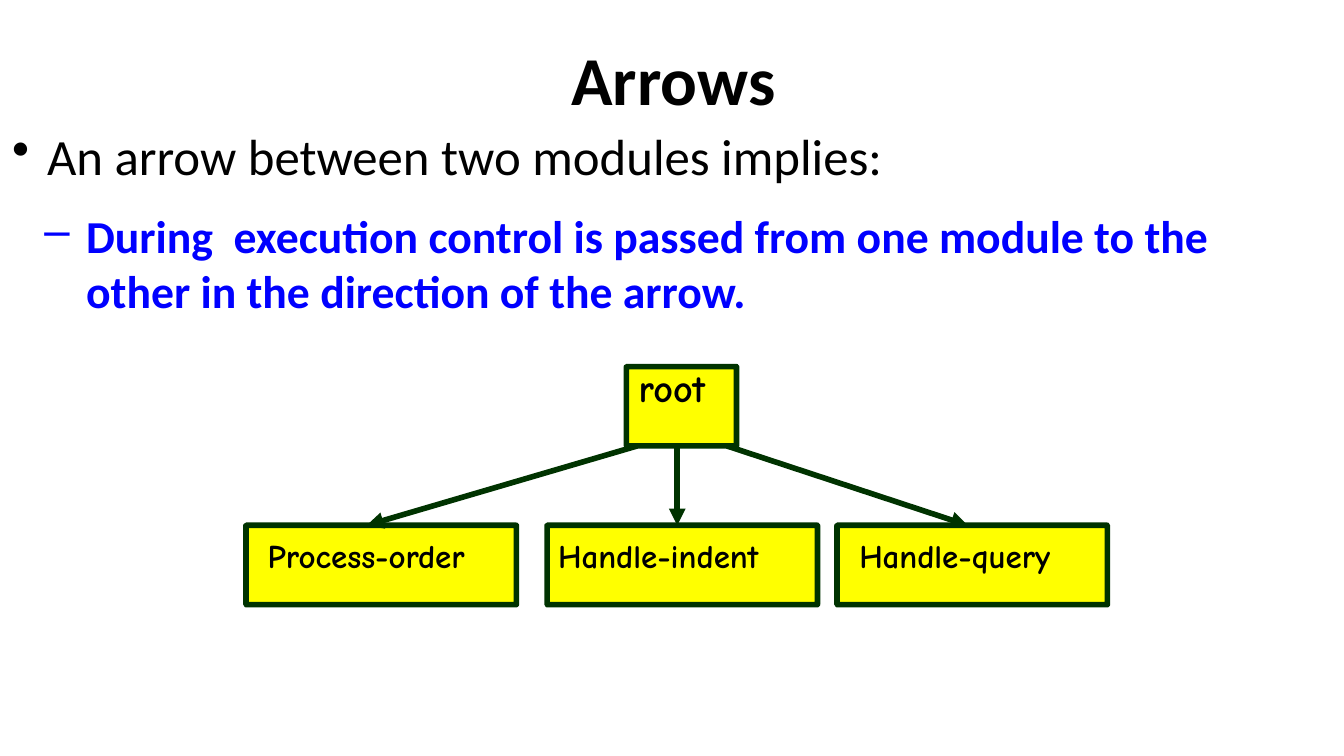
"""Build a slide explaining the arrows between modules in a structure chart."""
import pptx
import pptx.dml.color
import pptx.enum.shapes
import pptx.enum.text
import pptx.oxml.ns
import pptx.util
from lxml import etree
from pptx.util import Cm, Pt

BLACK = pptx.dml.color.RGBColor(0x00, 0x00, 0x00)
BLUE = pptx.dml.color.RGBColor(0x00, 0x00, 0xFF)
YELLOW = pptx.dml.color.RGBColor(0xFF, 0xFF, 0x00)
GREEN = pptx.dml.color.RGBColor(0x00, 0x33, 0x00)
ROOT_TOP, MODULE_TOP, BOX_HEIGHT = 6.93, 9.93, 1.5
ROOT_LEFT, ROOT_WIDTH, MODULE_WIDTH = 11.84, 2.08, 5.11
MODULES = [
    ("Process-order", 4.65, 0.38, 12.04, 6.93),
    ("Handle-indent", 10.34, 0.18, 12.8, 12.8),
    ("Handle-query", 15.82, 0.39, 13.74, 18.29),
]


def add_text_box(slide, left, top, width, height):
    text_frame = slide.shapes.add_textbox(Cm(left), Cm(top), Cm(width), Cm(height)).text_frame
    text_frame.word_wrap = True
    text_frame.margin_left = text_frame.margin_right = Cm(0.03)
    text_frame.margin_top = text_frame.margin_bottom = Cm(0.1)
    return text_frame


def format_paragraph(paragraph, text, size, font="Calibri", color=BLACK, bold=True, before=6):
    paragraph.text = text
    paragraph.space_before = Pt(before)
    for run in paragraph.runs:
        run.font.name = font
        run.font.size = Pt(size)
        run.font.bold = bold
        run.font.color.rgb = color


def set_bullet(paragraph, character, margin, indent):
    paragraph.space_after = Pt(6)
    properties = paragraph._p.get_or_add_pPr()
    properties.set("marL", str(Cm(margin)))
    properties.set("indent", str(Cm(-indent)))
    bullet = etree.SubElement(properties, pptx.oxml.ns.qn("a:buChar"))
    bullet.set("char", character)


def add_title(slide):
    text_frame = add_text_box(slide, 4.6, 0.3, 16.26, 2.36)
    text_frame.vertical_anchor = pptx.enum.text.MSO_ANCHOR.MIDDLE
    paragraph = text_frame.paragraphs[0]
    format_paragraph(paragraph, "Arrows", 36.7, before=9.4)
    paragraph.alignment = pptx.enum.text.PP_ALIGN.CENTER


def add_explanation(slide):
    text_frame = add_text_box(slide, 0.2, 2.26, 24.77, 9.47)
    statement = text_frame.paragraphs[0]
    format_paragraph(statement, "An arrow between two modules implies:", 27.2, bold=False)
    set_bullet(statement, "•", 0.66, 0.66)
    detail = text_frame.add_paragraph()
    detail.level = 1
    format_paragraph(
        detail,
        "During  execution control is passed from one module to the other "
        "in the direction of the arrow.",
        24.5,
        color=BLUE,
    )
    set_bullet(detail, "–", 1.4, 0.79)


def add_box(slide, left, top, width):
    shape = slide.shapes.add_shape(
        pptx.enum.shapes.MSO_SHAPE.ROUNDED_RECTANGLE, Cm(left), Cm(top), Cm(width), Cm(BOX_HEIGHT)
    )
    shape.adjustments[0] = 0.003
    shape.shadow.inherit = False
    shape.fill.solid()
    shape.fill.fore_color.rgb = YELLOW
    shape.line.color.rgb = GREEN
    shape.line.width = Pt(3)


def add_label(slide, text, left, top, width, height, size, before):
    paragraph = add_text_box(slide, left, top, width, height).paragraphs[0]
    format_paragraph(paragraph, text, size, font="Comic Neue", before=before)
    paragraph.line_spacing = 0.85


def add_arrow(slide, start, end):
    connector = slide.shapes.add_connector(
        pptx.enum.shapes.MSO_CONNECTOR.STRAIGHT,
        Cm(start), Cm(ROOT_TOP + BOX_HEIGHT), Cm(end), Cm(MODULE_TOP),
    )
    connector.line.color.rgb = GREEN
    connector.line.width = Pt(3)
    head = etree.SubElement(connector.line._get_or_add_ln(), pptx.oxml.ns.qn("a:tailEnd"))
    head.set("type", "triangle")
    etree.SubElement(connector._element.spPr, pptx.oxml.ns.qn("a:effectLst"))


def main():
    presentation = pptx.Presentation()
    presentation.slide_width = Cm(25.4)
    presentation.slide_height = Cm(14.29)
    slide = presentation.slides.add_slide(presentation.slide_layouts[6])
    add_title(slide)
    add_explanation(slide)
    add_box(slide, ROOT_LEFT, ROOT_TOP, ROOT_WIDTH)
    add_label(slide, "root", ROOT_LEFT + 0.2, ROOT_TOP, 2.84, 1.27, 20.4, 10.3)
    for name, left, inset, arrow_start, arrow_end in MODULES:
        add_box(slide, left, MODULE_TOP, MODULE_WIDTH)
        add_label(slide, name, left + inset, MODULE_TOP + 0.2, 4.9, 1.12, 17.7, 8.6)
        add_arrow(slide, arrow_start, arrow_end)
    presentation.save("out.pptx")


if __name__ == "__main__":
    main()
